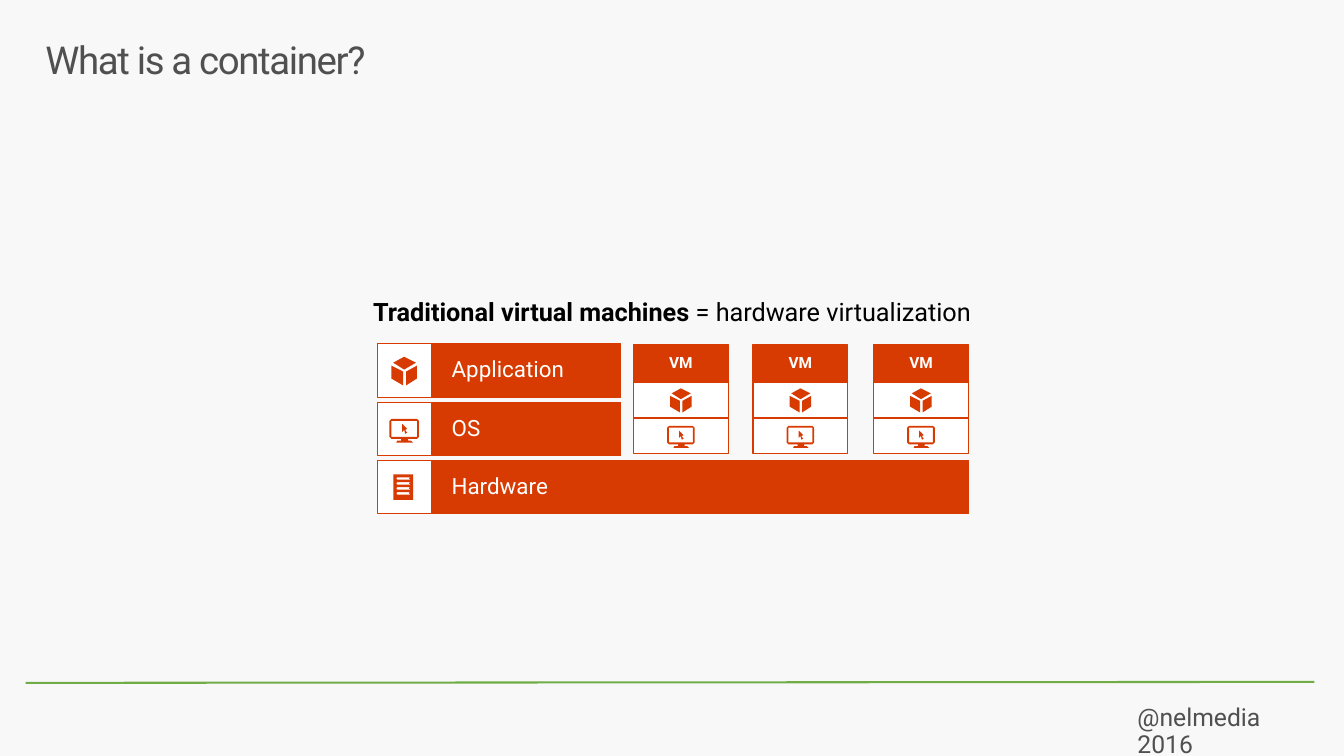
from pptx import Presentation
from pptx.dml.color import RGBColor
from pptx.enum.shapes import MSO_CONNECTOR, MSO_SHAPE
from pptx.enum.text import MSO_ANCHOR, MSO_AUTO_SIZE, PP_ALIGN
from pptx.oxml.xmlchemy import OxmlElement
from pptx.util import Pt

PX = 9144
FONT = "Roboto"
ORANGE = RGBColor(0xD8, 0x3B, 0x01)
WHITE = RGBColor(0xFF, 0xFF, 0xFF)
BLACK = RGBColor(0x00, 0x00, 0x00)
GRAY = RGBColor(0x50, 0x50, 0x50)
GREEN = RGBColor(0x70, 0xAD, 0x47)
PAPER = RGBColor(0xF8, 0xF8, 0xF8)

ICON_UNIT = PX / 10
CUBE = [
    [(0, 90), (120, 150), (120, 290), (0, 220)],
    [(150, 150), (260, 90), (260, 220), (150, 290)],
    [(20, 60), (130, 0), (250, 60), (130, 130)],
]
MONITOR = [
    [(20, 0), (280, 0), (300, 20), (300, 180), (280, 200), (190, 200),
     (190, 220), (220, 220), (240, 240), (70, 240), (80, 220), (120, 220),
     (120, 200), (20, 200), (0, 180), (0, 20)],
    [(20, 20), (20, 180), (280, 180), (280, 20)],
    [(130, 50), (180, 100), (160, 110), (180, 140), (160, 150), (150, 110),
     (130, 130)],
]
SERVER = [[(0, 0), (200, 0), (200, 260), (0, 260)]] + [
    [(40, top), (30, top + 10), (40, top + 25), (170, top + 25),
     (180, top + 10), (170, top)]
    for top in range(30, 181, 50)
]


class SlideBuilder:
    """Holds the text style and the current slide, and draws its elements."""

    def __init__(self, page, font=FONT, line_spacing=0.9):
        self.page = page
        self.font = font
        self.line_spacing = line_spacing

    def fill_text(self, box, spans, size, color, insets, align=PP_ALIGN.LEFT,
                  anchor=MSO_ANCHOR.TOP, tracking=0):
        frame = box.text_frame
        frame.word_wrap = True
        frame.auto_size = MSO_AUTO_SIZE.NONE
        frame.vertical_anchor = anchor
        (frame.margin_left, frame.margin_top,
         frame.margin_right, frame.margin_bottom) = [PX * inset for inset in insets]
        para = frame.paragraphs[0]
        para.alignment = align
        para.line_spacing = self.line_spacing
        para.space_before = Pt(0)
        for text, bold in spans:
            span = para.add_run()
            span.text = text
            span.font.name = self.font
            span.font.size = Pt(size)
            span.font.bold = bold
            span.font.color.rgb = color
            if tracking:
                span.font._element.set("spc", str(tracking))

    def title(self, text, left, top, width, height):
        box = self.page.shapes.title
        box.left, box.top, box.width, box.height = [
            PX * length for length in (left, top, width, height)]
        self.fill_text(box, [(text, False)], 28, GRAY, (16, 10, 16, 10),
                       tracking=-100)

    def text(self, spans, left, top, width, height, size, color, insets,
             align=PP_ALIGN.LEFT):
        box = self.page.shapes.add_textbox(
            PX * left, PX * top, PX * width, PX * height)
        self.fill_text(box, spans, size, color, insets, align)

    def shape(self, left, top, width, height, fill, kind=MSO_SHAPE.RECTANGLE,
              outlined=True):
        box = self.page.shapes.add_shape(
            kind, PX * left, PX * top, PX * width, PX * height)
        self.paint(box, fill, outlined)
        return box

    def paint(self, box, fill, outlined):
        box.shadow.inherit = False
        box.fill.solid()
        box.fill.fore_color.rgb = fill
        if outlined:
            box.line.color.rgb = ORANGE
            box.line.width = Pt(0.85)
        else:
            box.line.fill.background()

    def icon(self, contours, left, top, size=1):
        first, *others = contours
        builder = self.page.shapes.build_freeform(
            *first[0], scale=ICON_UNIT * size)
        builder.add_line_segments(first[1:], close=True)
        for contour in others:
            builder.move_to(*contour[0])
            builder.add_line_segments(contour[1:], close=True)
        self.paint(builder.convert_to_shape(PX * left, PX * top), ORANGE, False)

    def rule(self, start, end):
        line = self.page.shapes.add_connector(
            MSO_CONNECTOR.STRAIGHT, *[PX * length for length in start + end])
        line.line.color.rgb = GREEN
        line.line.width = Pt(1.5)
        line._element.spPr.append(OxmlElement("a:effectLst"))

    def layer(self, label, top, width):
        bar = self.shape(437, top, width, 54, ORANGE)
        self.fill_text(bar, [(label, False)], 16.3, WHITE, (20, 16, 20, 16),
                       anchor=MSO_ANCHOR.MIDDLE)
        self.shape(382, top, 55, 54, WHITE)

    def virtual_machine(self, left):
        for top in (387, 423):
            self.shape(left, top, 96, 36, WHITE)
        self.icon(CUBE, left + 37, 393, 0.84)
        self.icon(MONITOR, left + 34, 431, 0.93)
        header = self.shape(left, 349, 96, 38, ORANGE)
        self.fill_text(header, [("VM", True)], 11.2, WHITE, (5, 5, 5, 5),
                       PP_ALIGN.CENTER, MSO_ANCHOR.MIDDLE)


def main():
    deck = Presentation()
    deck.slide_width, deck.slide_height = PX * 1360, PX * 765
    page = deck.slides.add_slide(deck.slide_layouts[5])
    page.background.fill.solid()
    page.background.fill.fore_color.rgb = PAPER
    slide = SlideBuilder(page)

    slide.rule((26, 691), (1330, 690))
    slide.text([("@nelmedia 2016", False)], 1131, 698, 216, 60, 18, GRAY,
               (20, 16, 20, 16))
    slide.title("What is a container?", 30, 32, 1300, 100)
    slide.text([("Traditional virtual machines ", True),
                ("= hardware virtualization", False)],
               0, 303, 1360, 44, 18.4, BLACK, (20, 0, 20, 16), PP_ALIGN.CENTER)

    layers = [("Application", 191), ("OS", 191), ("Hardware", 543)]
    for row, (label, width) in enumerate(layers):
        slide.layer(label, 348 + 59 * row, width)
    for column in range(3):
        slide.virtual_machine(641 + 243 * column // 2)

    slide.icon(CUBE, 396, 361)
    slide.icon(MONITOR, 394, 424)
    slide.icon(SERVER, 398, 480)
    for slot in range(4):
        slide.shape(414, 483 + 5 * slot, 2, 2, ORANGE, MSO_SHAPE.OVAL, False)

    deck.save("out.pptx")


if __name__ == "__main__":
    main()
